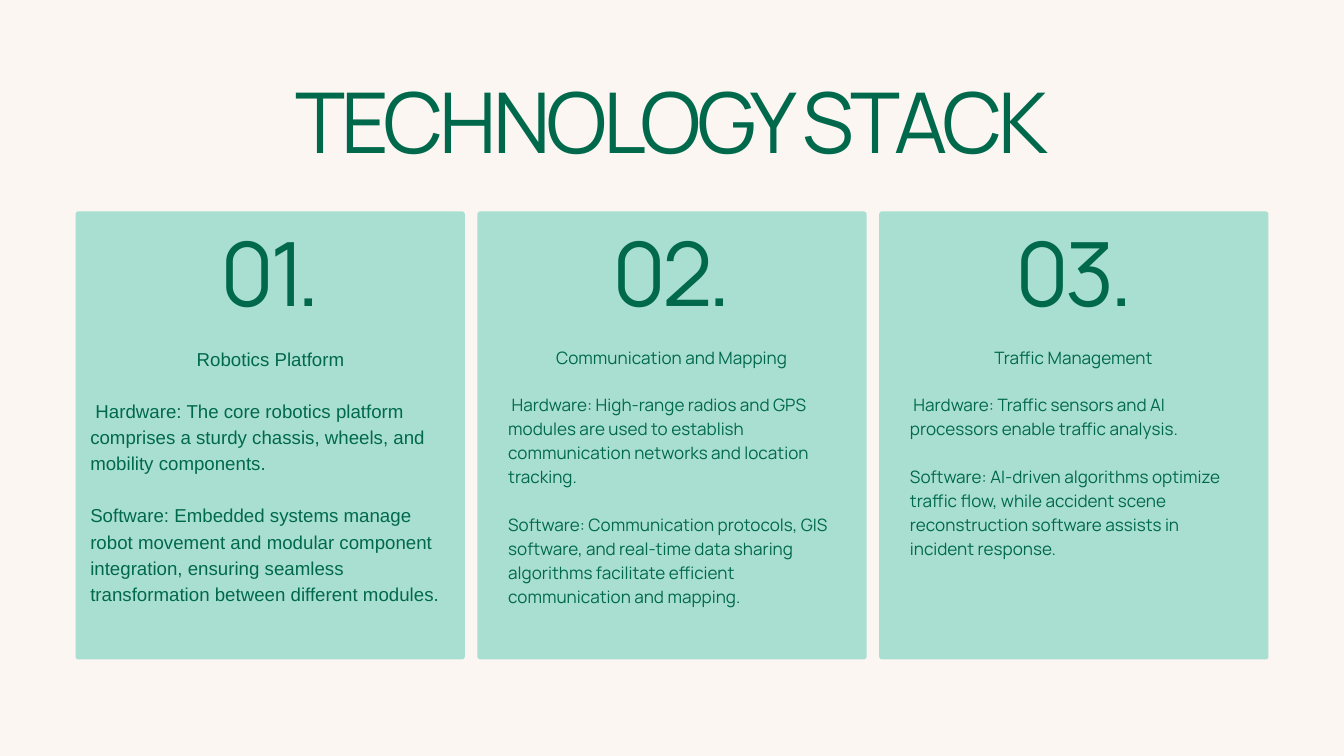
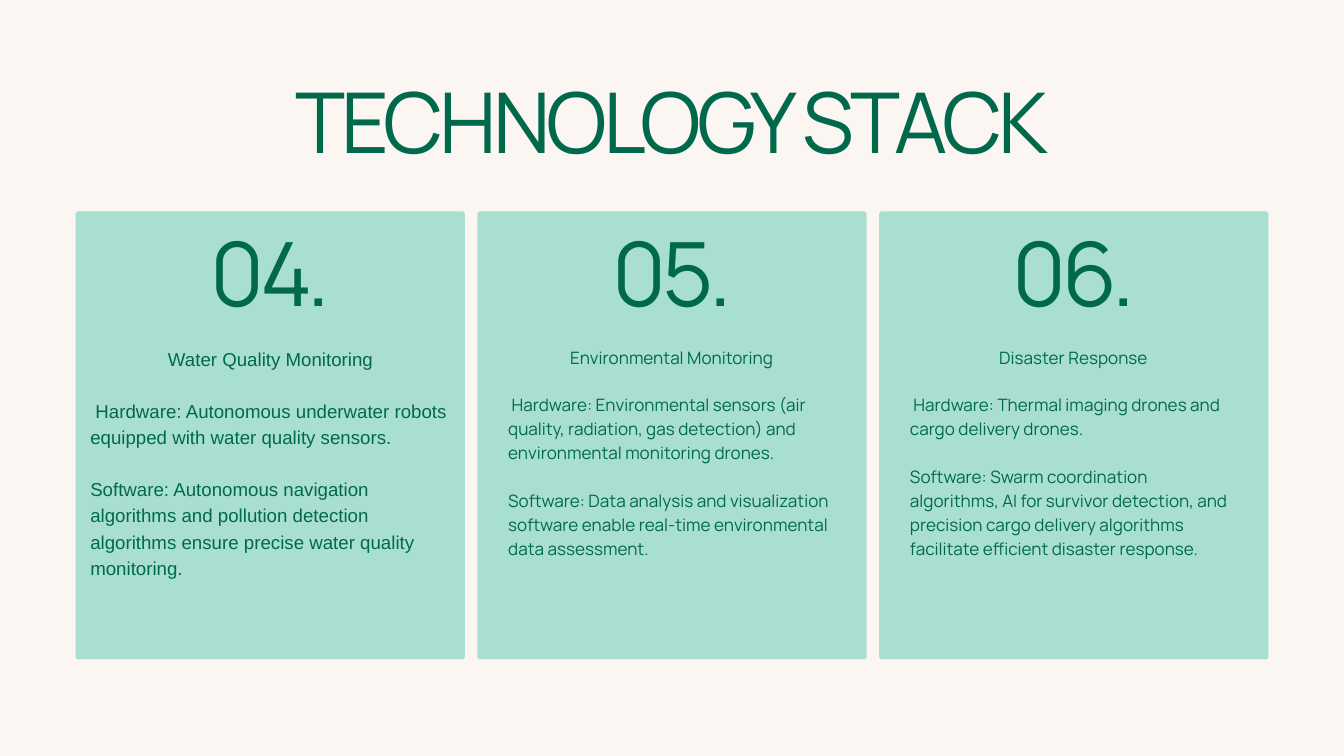
from pptx import Presentation
from pptx.dml.color import RGBColor
from pptx.enum.shapes import MSO_SHAPE
from pptx.enum.text import MSO_AUTO_SIZE, PP_ALIGN
from pptx.util import Emu, Pt

# Shared look
CREAM, MINT, GREEN = "FBF6F1", "A9DFD0", "00694C"
FONT = "Manrope"
TITLE = "TECHNOLOGY STACK"

# Card grid, in px
CARD_LEFT, CARD_TOP, CARD_W, CARD_H = 108, 302, 556, 640
CARD_PITCH = 574
CARD_RADIUS = 4

# Body style by column: inset and width in px, font, size and line height in pt
WIDE = (21, 515, "Arial", 20, 28)
NARROW = (44, 467, FONT, 18.3, 25.6)
COLUMN_STYLES = [WIDE, NARROW, NARROW]

# Cards of each slide: heading, hardware, software, text height in px
SLIDES = [
    [
        ("Robotics Platform",
         " Hardware: The core robotics platform comprises a sturdy chassis, "
         "wheels, and mobility components.",
         "Software: Embedded systems manage robot movement and modular component "
         "integration, ensuring seamless transformation between different modules.",
         368),
        ("Communication and Mapping",
         " Hardware: High-range radios and GPS modules are used to establish "
         "communication networks and location tracking.",
         "Software: Communication protocols, GIS software, and real-time data "
         "sharing algorithms facilitate efficient communication and mapping.",
         373),
        ("Traffic Management",
         " Hardware: Traffic sensors and AI processors enable traffic analysis.",
         "Software: AI-driven algorithms optimize traffic flow, while accident "
         "scene reconstruction software assists in incident response.",
         305),
    ],
    [
        ("Water Quality Monitoring",
         " Hardware: Autonomous underwater robots equipped with water quality "
         "sensors.",
         "Software: Autonomous navigation algorithms and pollution detection "
         "algorithms ensure precise water quality monitoring.",
         331),
        ("Environmental Monitoring",
         " Hardware: Environmental sensors (air quality, radiation, gas detection) "
         "and environmental monitoring drones.",
         "Software: Data analysis and visualization software enable real-time "
         "environmental data assessment.",
         305),
        ("Disaster Response",
         " Hardware: Thermal imaging drones and cargo delivery drones.",
         "Software: Swarm coordination algorithms, AI for survivor detection, and "
         "precision cargo delivery algorithms facilitate efficient disaster "
         "response.",
         305),
    ],
]


def px(n):
    return Emu(n * 9525)


def color(value):
    return RGBColor.from_string(value)


def add_box(s, x, y, w, h):
    tf = s.shapes.add_textbox(px(x), px(y), px(w), px(h)).text_frame
    tf.margin_left = tf.margin_top = tf.margin_right = tf.margin_bottom = 0
    tf.word_wrap = True
    tf.auto_size = MSO_AUTO_SIZE.SHAPE_TO_FIT_TEXT
    return tf


def add_text(p, text, size, line, font=FONT, align=PP_ALIGN.CENTER, tracking=0):
    p.alignment = align
    p.line_spacing = Pt(line)
    r = p.add_run()
    r.text = text
    r.font.name = font
    r.font.size = Pt(size)
    r.font.color.rgb = color(GREEN)
    if tracking:
        r.font._element.set("spc", str(round(tracking * 100)))


def add_title(s):
    tf = add_box(s, 309, 135, 1302, 116)
    add_text(tf.paragraphs[0], TITLE, 89.8, 80.8, tracking=-4.1)


def add_panel(s, x):
    sp = s.shapes.add_shape(MSO_SHAPE.ROUNDED_RECTANGLE, px(x), px(CARD_TOP),
                            px(CARD_W), px(CARD_H))
    sp.adjustments[0] = CARD_RADIUS / CARD_W
    sp.shadow.inherit = False
    sp.fill.solid()
    sp.fill.fore_color.rgb = color(MINT)
    sp.line.fill.background()


def add_number(s, x, number):
    tf = add_box(s, x + 151, 349, 254, 124)
    add_text(tf.paragraphs[0], f"{number:02}.", 95, 85.5, tracking=-4.4)


def add_body(s, x, style, heading, details, height):
    inset, width, font, size, line = style
    tf = add_box(s, x + inset, 491, width, height)
    add_text(tf.paragraphs[0], heading, size, line, font)
    for detail in details:
        p = tf.add_paragraph()
        p.space_before = Pt(line)
        add_text(p, detail, size, line, font, PP_ALIGN.LEFT)


def add_slide(prs, cards, first_number):
    s = prs.slides.add_slide(prs.slide_layouts[6])
    s.background.fill.solid()
    s.background.fill.fore_color.rgb = color(CREAM)
    add_title(s)
    for i, (heading, hardware, software, height) in enumerate(cards):
        x = CARD_LEFT + i * CARD_PITCH
        add_panel(s, x)
        add_number(s, x, first_number + i)
        add_body(s, x, COLUMN_STYLES[i], heading, (hardware, software), height)


def main():
    prs = Presentation()
    prs.slide_width, prs.slide_height = px(1920), px(1080)
    for i, cards in enumerate(SLIDES):
        add_slide(prs, cards, 1 + i * len(cards))
    prs.save("out.pptx")


if __name__ == "__main__":
    main()
